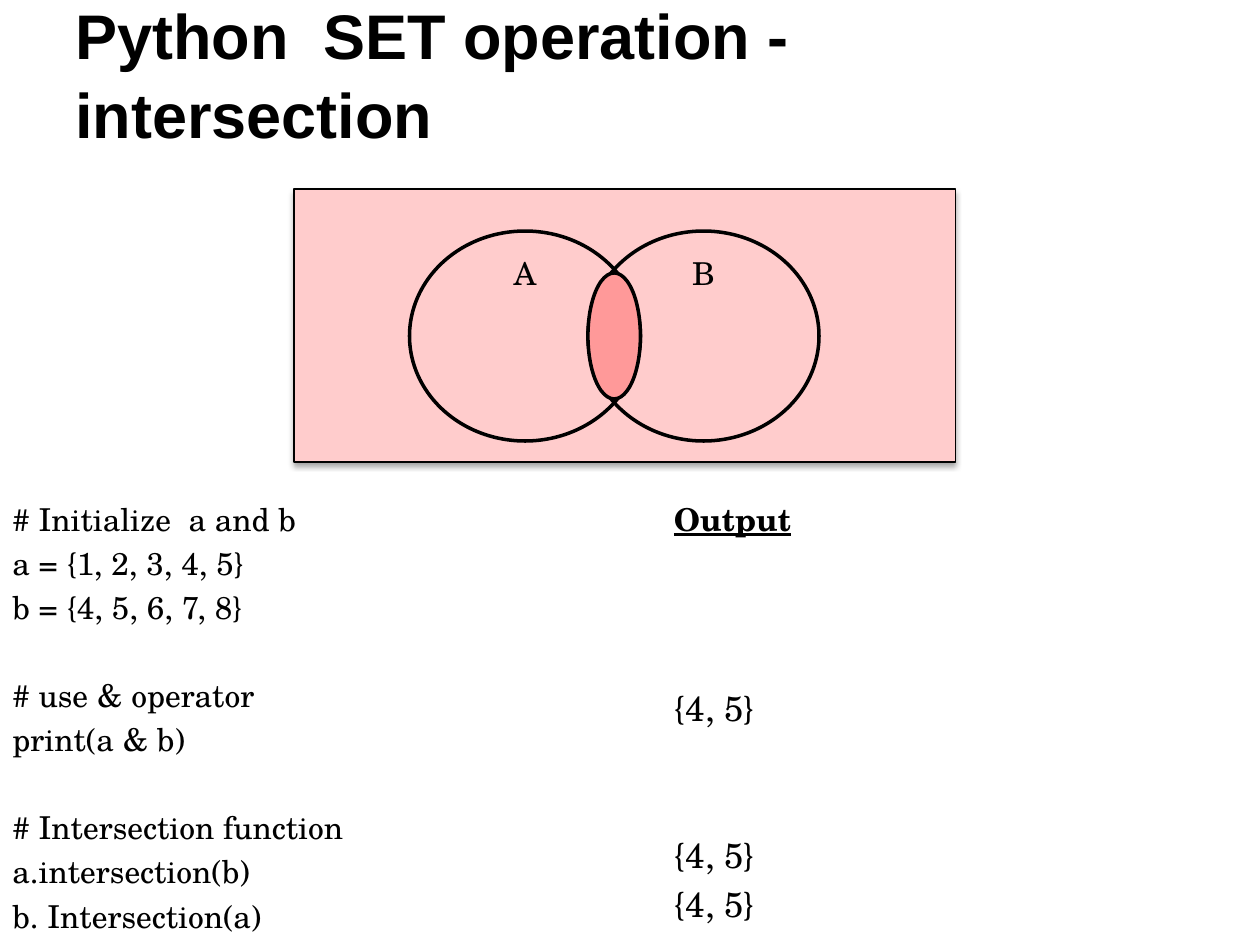
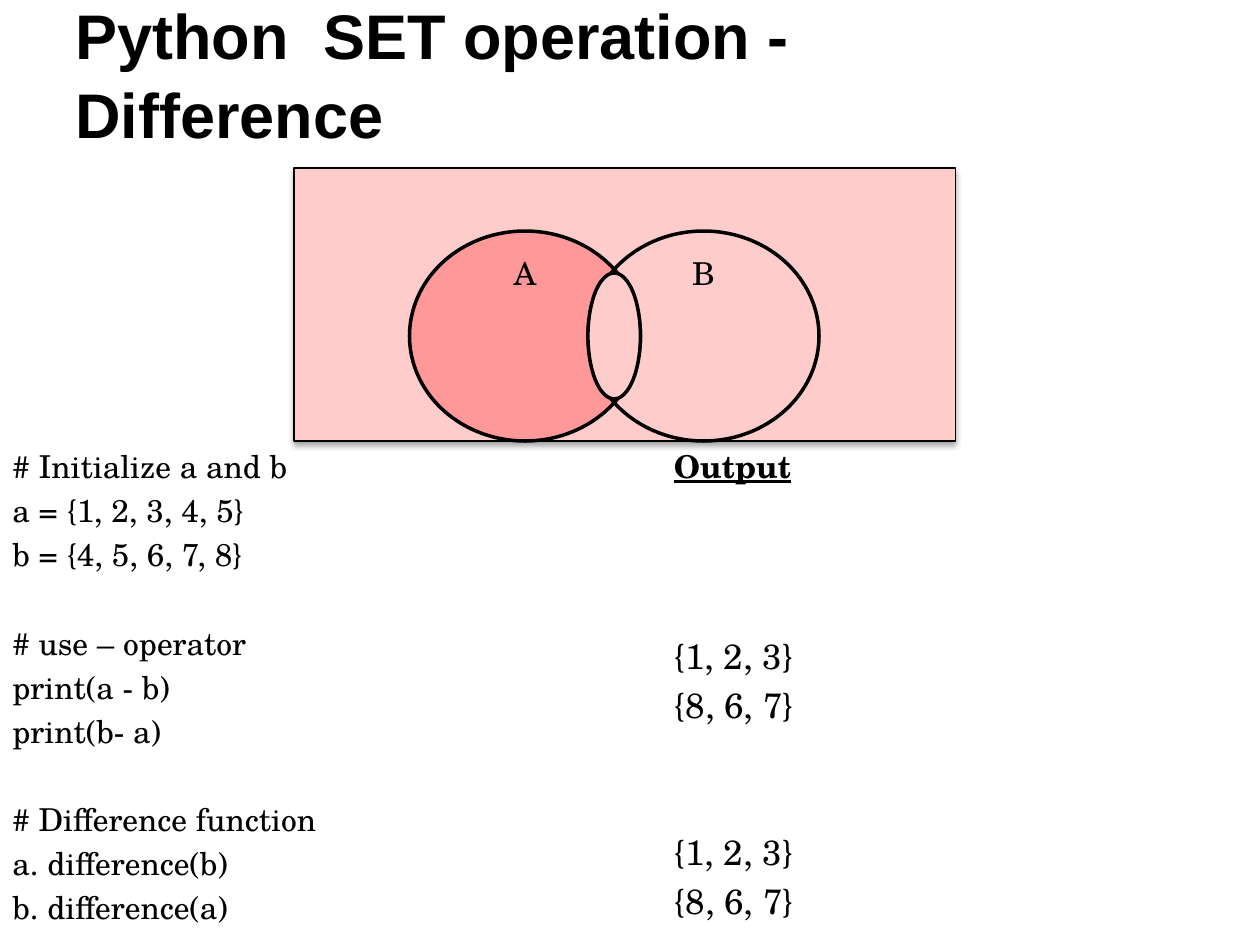
"""Build two slides on Python set operations, each with a Venn diagram, code and output."""
import pptx
import pptx.util
import pptx.dml.color
import pptx.enum.shapes
import pptx.enum.text
import pptx.oxml
import pptx.oxml.ns

SLIDES = [
    {
        "title": "Python  SET operation - intersection",
        "code": [
            ["# Initialize  a and b", "a = {1, 2, 3, 4, 5}", "b = {4, 5, 6, 7, 8}"],
            ["# use & operator", "print(a & b)"],
            ["# Intersection function", "a.intersection(b)", "b. Intersection(a)"],
        ],
        "output": [["{4, 5}"], ["{4, 5}", "{4, 5}"]],
        "frame_top": 144, "text_top": 376, "text_height": 360,
        "fills": {"A": None, "B": None, "overlap": "strong"},
    },
    {
        "title": "Python  SET operation - Difference",
        "code": [
            ["# Initialize a and b", "a = {1, 2, 3, 4, 5}", "b = {4, 5, 6, 7, 8}"],
            ["# use – operator", "print(a - b)", "print(b- a)"],
            ["# Difference function", "a. difference(b)", "b. difference(a)"],
        ],
        "output": [["{1, 2, 3}", "{8, 6, 7}"], ["{1, 2, 3}", "{8, 6, 7}"]],
        "frame_top": 128, "text_top": 336, "text_height": 384,
        "fills": {"A": "strong", "B": None, "overlap": "pale"},
    },
]

BODY_FONT = "TeX Gyre Schola"
THEME = {
    "colors": {"ink": "000000", "pale": "FFCCCC", "strong": "FF9999"},
    "text": {
        "title": {"name": "Arial", "size": 36, "bold": True},
        "code": {"name": BODY_FONT, "size": 18},
        "heading": {"name": BODY_FONT, "size": 18, "bold": True, "underline": True},
        "result": {"name": BODY_FONT, "size": 20},
    },
    "lines": {"frame": 0.75, "set": 2},
    "title_spacing": 1.05,
    "space_before": 0.2,
    "line_pitch": 1.4,
}

PX = 9525
PAGE_SIZE = (960, 720)
TITLE_BOX = (48, 8, 712, 112)
FRAME_LEFT, FRAME_WIDTH, FRAME_HEIGHT = 224, 504, 208
CIRCLE_TOP, CIRCLE_WIDTH, CIRCLE_HEIGHT = 176, 176, 160
CIRCLE_LEFTS = {"A": 312, "B": 448}
LABEL_OFFSET, LABEL_WIDTH, LABEL_HEIGHT = (64, 16), 48, 32
OVERLAP_INSET = 32
CODE_LEFT, CODE_WIDTH, CODE_EXTRA = 0, 512, 8
OUTPUT_LEFT, OUTPUT_WIDTH = 504, 456

SHAPE = pptx.enum.shapes.MSO_SHAPE
ANCHOR = pptx.enum.text.MSO_ANCHOR
ALIGN = pptx.enum.text.PP_ALIGN
SHADOW = (
    f'<a:outerShdw {pptx.oxml.ns.nsdecls("a")} blurRad="39370" dist="22860" '
    'dir="5400000" rotWithShape="0"><a:srgbClr val="000000">'
    '<a:alpha val="35000"/></a:srgbClr></a:outerShdw>'
)


def color(name):
    """Return a theme colour as an RGB value."""
    return pptx.dml.color.RGBColor.from_string(THEME["colors"][name])


def scaled(box):
    """Turn a box in px into EMU."""
    return [length * PX for length in box]


def blank_lines(*styles):
    """Return the height in points of skipped lines of the given styles."""
    return sum(THEME["text"][style]["size"] * THEME["line_pitch"] for style in styles)


def grouped(groups, style, gap):
    """Flatten groups of lines into (text, style, extra gap) rows."""
    return [(text, style, gap if group_no and not line_no else 0)
            for group_no, group in enumerate(groups)
            for line_no, text in enumerate(group)]


def add_text(page, box, rows, anchor=ANCHOR.TOP, **para_format):
    """Add a text box holding one paragraph per (text, style, extra gap) row."""
    frame = page.shapes.add_textbox(*scaled(box)).text_frame
    frame.word_wrap = True
    frame.vertical_anchor = anchor
    for index, (text, style, gap) in enumerate(rows):
        para = frame.add_paragraph() if index else frame.paragraphs[0]
        font_format = dict(THEME["text"][style])
        size = font_format["size"]
        font_format["size"] = pptx.util.Pt(size)
        spacing = {"space_before": pptx.util.Pt(size * THEME["space_before"] + gap)}
        for name, value in {**spacing, **para_format}.items():
            setattr(para, name, value)
        span = para.add_run()
        span.text = text
        for name, value in font_format.items():
            setattr(span.font, name, value)
        span.font.color.rgb = color("ink")


def add_outline(page, kind, box, fill, line):
    """Add an outlined preset shape with an optional fill."""
    shape = page.shapes.add_shape(kind, *scaled(box))
    shape.shadow.inherit = False
    if fill:
        shape.fill.solid()
        shape.fill.fore_color.rgb = color(fill)
    else:
        shape.fill.background()
    shape.line.color.rgb = color("ink")
    shape.line.width = pptx.util.Pt(THEME["lines"][line])
    return shape


def add_venn(page, frame_top, fills):
    """Draw the framed diagram of sets A and B and their overlap."""
    frame = add_outline(page, SHAPE.RECTANGLE,
                        (FRAME_LEFT, frame_top, FRAME_WIDTH, FRAME_HEIGHT), "pale", "frame")
    effects = frame.element.spPr.find(pptx.oxml.ns.qn("a:effectLst"))
    effects.append(pptx.oxml.parse_xml(SHADOW))
    for name, left in CIRCLE_LEFTS.items():
        add_outline(page, SHAPE.FLOWCHART_CONNECTOR,
                    (left, CIRCLE_TOP, CIRCLE_WIDTH, CIRCLE_HEIGHT), fills[name], "set")
    for name, left in CIRCLE_LEFTS.items():
        box = (left + LABEL_OFFSET[0], CIRCLE_TOP + LABEL_OFFSET[1], LABEL_WIDTH, LABEL_HEIGHT)
        add_text(page, box, [(name, "code", 0)], ANCHOR.MIDDLE,
                 alignment=ALIGN.CENTER, space_before=0)
    overlap_width = CIRCLE_LEFTS["A"] + CIRCLE_WIDTH - CIRCLE_LEFTS["B"]
    add_outline(page, SHAPE.OVAL,
                (CIRCLE_LEFTS["B"], CIRCLE_TOP + OVERLAP_INSET,
                 overlap_width, CIRCLE_HEIGHT - 2 * OVERLAP_INSET), fills["overlap"], "set")


def add_page(deck, content):
    """Add one slide with its title, code, output and diagram."""
    page = deck.slides.add_slide(deck.slide_layouts[6])
    top, height = content["text_top"], content["text_height"]
    add_text(page, TITLE_BOX, [(content["title"], "title", 0)], ANCHOR.BOTTOM,
             line_spacing=THEME["title_spacing"], space_before=0)
    add_text(page, (CODE_LEFT, top, CODE_WIDTH, height + CODE_EXTRA),
             grouped(content["code"], "code", blank_lines("code")))
    results = grouped(content["output"], "result", blank_lines("result", "result"))
    first_result = (*results[0][:2], blank_lines("heading", "result", "result"))
    add_text(page, (OUTPUT_LEFT, top, OUTPUT_WIDTH, height),
             [("Output", "heading", 0), first_result, *results[1:]])
    add_venn(page, content["frame_top"], content["fills"])


def main():
    """Build and save the deck."""
    deck = pptx.Presentation()
    deck.slide_width, deck.slide_height = scaled(PAGE_SIZE)
    for content in SLIDES:
        add_page(deck, content)
    deck.save("out.pptx")


if __name__ == "__main__":
    main()
